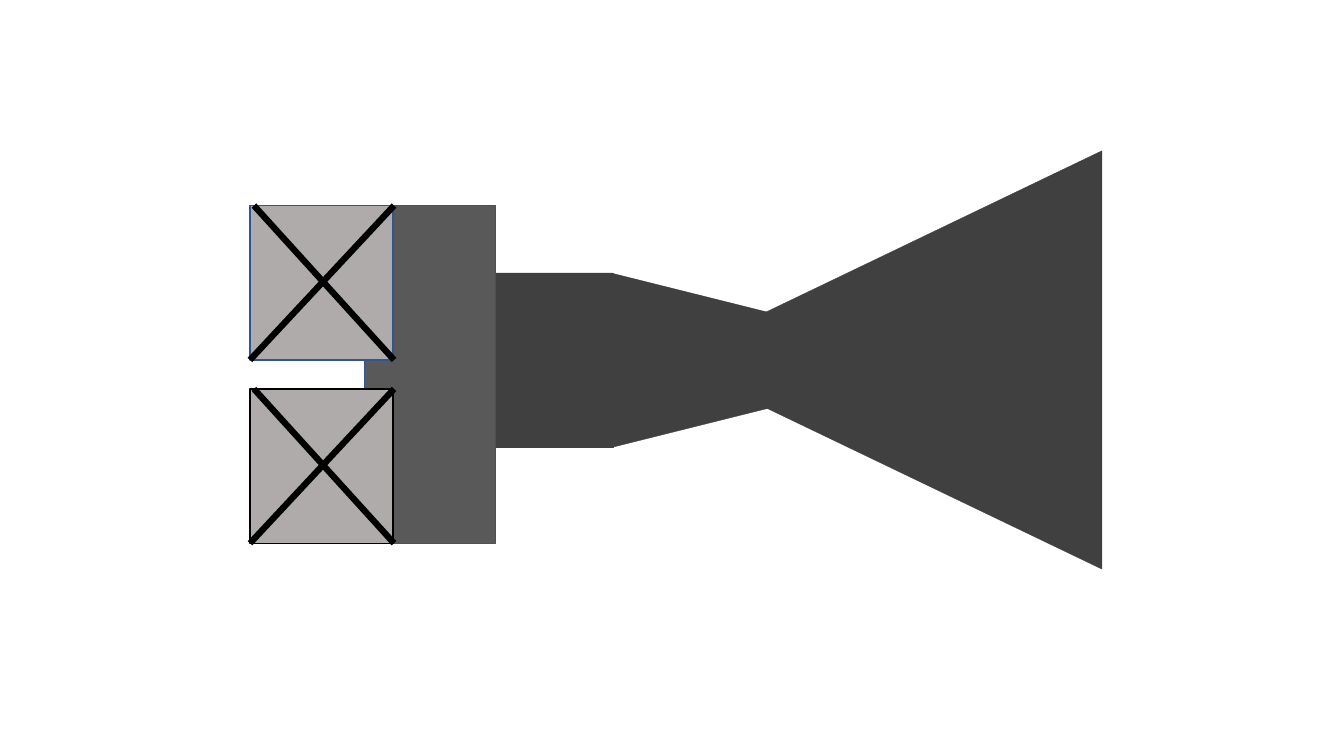
"""Build a slide with a rocket engine section: nozzle, injector body and two crossed valves."""
from pptx import Presentation
from pptx.dml.color import RGBColor
from pptx.enum import shapes
from pptx.oxml.ns import qn
from pptx.util import Cm, Pt
from lxml import etree


def add_block(parent, kind, place, fill, line, weight, rotation=0):
    """Add a filled and outlined preset shape, with lengths in centimetres."""
    block = parent.add_shape(kind, *[Cm(length) for length in place])
    block.shadow.inherit = False
    block.fill.solid()
    block.fill.fore_color.rgb = RGBColor.from_string(fill)
    block.line.color.rgb = RGBColor.from_string(line)
    block.line.width = Pt(weight)
    block.rotation = rotation
    return block


def add_stroke(parent, ends, color, weight):
    """Add a straight line without a shadow, with lengths in centimetres."""
    stroke = parent.add_connector(shapes.MSO_CONNECTOR.STRAIGHT, *[Cm(length) for length in ends])
    stroke.line.color.rgb = RGBColor.from_string(color)
    stroke.line.width = Pt(weight)
    etree.SubElement(stroke._element.spPr, qn("a:effectLst"))


RECTANGLE = shapes.MSO_SHAPE.RECTANGLE
TRAPEZOID = shapes.MSO_SHAPE.TRAPEZOID
DARK, GREY, LIGHT = "404040", "595959", "AFABAB"
BLUE, BLACK = "325491", "000000"

deck = Presentation()
deck.slide_width, deck.slide_height = Cm(33.87), Cm(19.05)
slide = deck.slides.add_slide(deck.slide_layouts[6])

nozzle = slide.shapes.add_group_shape().shapes
add_block(nozzle, RECTANGLE, (9.91, 6.88, 5.54, 4.39), DARK, DARK, 0.25)
add_block(nozzle, TRAPEZOID, (15.19, 7.11, 4.39, 3.94), DARK, DARK, 0.25, 90)
bell = add_block(nozzle, TRAPEZOID, (18.26, 4.83, 10.54, 8.48), DARK, DARK, 0.25, 270)
bell.adjustments[0] = 0.48

add_block(slide.shapes, RECTANGLE, (9.19, 5.18, 3.3, 8.51), GREY, BLUE, 1)

left, right, width, height = 6.3, 9.93, 3.61, 3.89
for top, outline in ((5.18, BLUE), (9.8, BLACK)):
    valve = slide.shapes.add_group_shape().shapes
    bottom = top + height
    add_block(valve, RECTANGLE, (left, top, width, height), LIGHT, outline, 1)
    add_stroke(valve, (left + 0.1, top, right, bottom), BLACK, 4.5)
    add_stroke(valve, (left, bottom, right, top), BLACK, 4.5)

deck.save("out.pptx")
